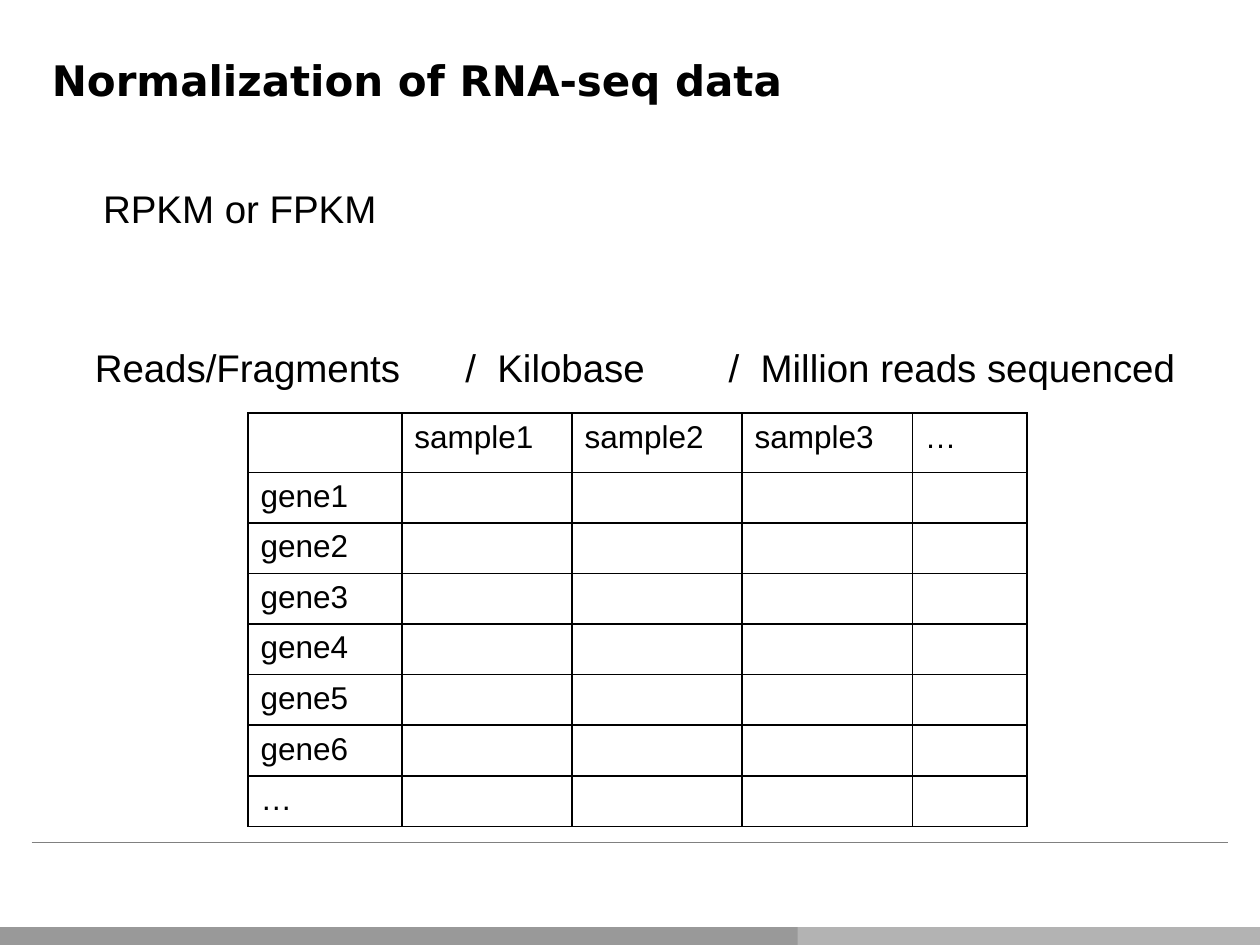
"""Build the slide on normalization of RNA-seq data."""
from lxml import etree
from pptx import Presentation
from pptx import util as u
from pptx.dml.color import RGBColor
from pptx.enum import shapes, text
from pptx.oxml.ns import qn

COLORS = {"ink": "000000", "rule": "808080", "dark": "999999", "light": "B3B3B3"}


def write(frame, words, size, font="Arial", align=text.PP_ALIGN.LEFT, bold=False):
    para = frame.paragraphs[0]
    para.alignment = align
    span = para.add_run()
    span.text = words
    span.font.name = font
    span.font.size = u.Pt(size)
    span.font.bold = bold
    span.font.color.rgb = RGBColor.from_string(COLORS["ink"])


def outline(cell):
    props = cell._tc.get_or_add_tcPr()
    for position, side in enumerate(("lnL", "lnR", "lnT", "lnB")):
        line = etree.Element(qn(f"a:{side}"), w=str(u.Pt(1)))
        fill = etree.SubElement(line, qn("a:solidFill"))
        etree.SubElement(fill, qn("a:srgbClr"), val=COLORS["ink"])
        props.insert(position, line)


deck = Presentation()
deck.slide_width, deck.slide_height = u.Cm(25.4), u.Cm(19.05)
page = deck.slides.add_slide(deck.slide_layouts[5])

for left, width, color in ((16.05, 9.35, "light"), (0, 16.08, "dark")):
    bar = page.shapes.add_shape(
        shapes.MSO_SHAPE.RECTANGLE, u.Cm(left), u.Cm(18.69), u.Cm(width), u.Cm(0.36))
    bar.shadow.inherit = False
    bar.fill.solid()
    bar.fill.fore_color.rgb = RGBColor.from_string(COLORS[color])
    bar.line.fill.background()

rule = page.shapes.add_connector(
    shapes.MSO_CONNECTOR.STRAIGHT, u.Cm(0.64), u.Cm(16.99), u.Cm(24.76), u.Cm(16.99))
rule.line.color.rgb = RGBColor.from_string(COLORS["rule"])
rule.line.width = u.Pt(0.5)
etree.SubElement(rule._element.spPr, qn("a:effectLst"))

title = page.shapes.title
title.left, title.top, title.width, title.height = (
    u.Cm(0.79), u.Cm(0.89), u.Cm(22.91), u.Cm(2.49))
title.text_frame.vertical_anchor = text.MSO_ANCHOR.TOP
title.text_frame.margin_top = u.Cm(0.2)
write(title.text_frame, "Normalization of RNA-seq data", 24, "DejaVu Sans", bold=True)

LABELS = (
    ("RPKM or FPKM", 1.83, 3.53, 20.68, 2.13, text.PP_ALIGN.LEFT),
    ("Reads/Fragments", -0.51, 6.73, 11, 1.19, text.PP_ALIGN.CENTER),
    ("/  Kilobase", 5.69, 6.73, 11, 1.19, text.PP_ALIGN.CENTER),
    ("/  Million reads sequenced", 13.69, 6.73, 11, 1.19, text.PP_ALIGN.CENTER),
)
for words, left, top, width, height, align in LABELS:
    box = page.shapes.add_textbox(u.Cm(left), u.Cm(top), u.Cm(width), u.Cm(height))
    box.text_frame.word_wrap = True
    box.text_frame.margin_top = u.Cm(0.2)
    write(box.text_frame, words, 22, align=align)

samples = ["", "sample1", "sample2", "sample3", "…"]
genes = [f"gene{number}" for number in range(1, 7)] + ["…"]
rows = [samples] + [[gene] + [""] * 4 for gene in genes]
table = page.shapes.add_table(
    len(rows), len(samples), u.Cm(5), u.Cm(8.33), u.Cm(15.7), u.Cm(8.33)).table
table.first_row = table.horz_banding = False
for column, width in zip(table.columns, (3.1, 3.43, 3.43, 3.43, 2.31)):
    column.width = u.Cm(width)
for index, row in enumerate(rows):
    table.rows[index].height = u.Cm(1.02 if index else 1.19)
    for cell, words in zip(table.rows[index].cells, row):
        cell.fill.background()
        outline(cell)
        if words:
            write(cell.text_frame, words, 18)
        else:
            cell.margin_bottom = u.Cm(0)

deck.save("out.pptx")
